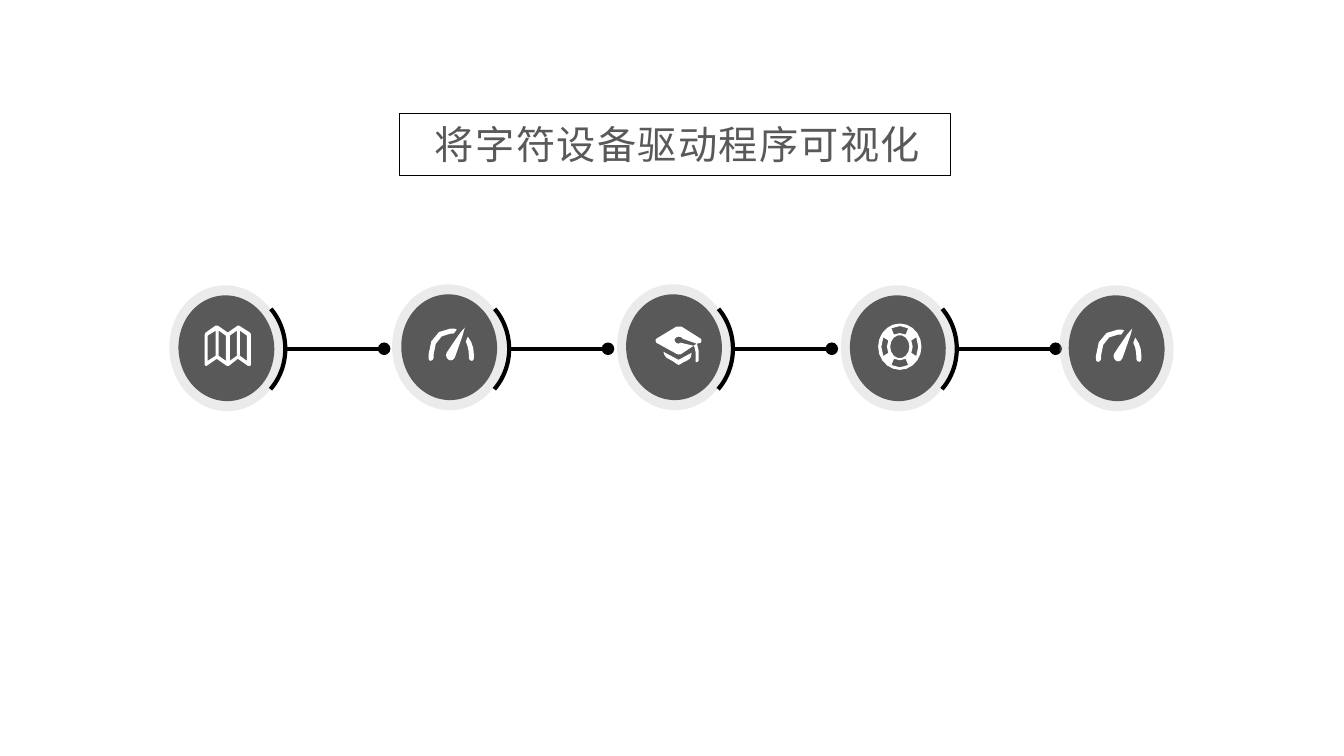
from math import cos, radians, sin

from lxml.etree import SubElement
from pptx import Presentation
from pptx.dml.color import RGBColor
from pptx.enum.shapes import MSO_CONNECTOR, MSO_SHAPE
from pptx.enum.text import MSO_ANCHOR, MSO_AUTO_SIZE, PP_ALIGN
from pptx.oxml.ns import qn
from pptx.util import Inches, Pt

# Content
TITLE = "将字符设备驱动程序可视化"
NODES = [  # icon, halo left and top, icon offset from the halo
    ("map", (1.68, 2.83), (0.35, 0.40)),
    ("gauge", (3.89, 2.82), (0.36, 0.42)),
    ("cap", (6.12, 2.82), (0.38, 0.42)),
    ("ring", (8.34, 2.83), (0.37, 0.38)),
    ("gauge", (10.51, 2.83), (0.36, 0.42)),
]

THEME = {
    "font": "Noto Sans CJK SC",
    "title_size": Pt(28),
    "dark": RGBColor(0x59, 0x59, 0x59),
    "halo": RGBColor(0xBF, 0xBF, 0xBF),
    "line": RGBColor(0, 0, 0),
    "icon": RGBColor(0xFF, 0xFF, 0xFF),
    "frame_width": Pt(0.25),
    "link_width": Pt(3),
}

# Layout in inches
TITLE_BOX = (3.96, 1.2, 5.52, 0.52)
FRAME_BOX = (3.96, 1.12, 5.46, 0.62)
HALO_SIZE = (1.13, 1.25)
DISC_SIZE = (0.95, 1.05)
TILT = -4.7
ARC_BOX = (1.72, 2.93, 1.16, 1.06)
ARC_ANGLES = (26.57, 81.76)
LINK_START, LINK_LENGTH, LINK_Y = 2.85, 0.96, 3.46
PITCH = 2.22

# Icon outlines in hundredths of an inch; six numbers make a cubic curve
MAP_OUTLINE = [
    (45, 7), (34, 0), (33, 0), (23, 7), (13, 0), (11, 0), (1, 7), (0, 9), (0, 39), (1, 40),
    (2, 40), (12, 33), (22, 40), (24, 40), (33, 33), (43, 40), (45, 40), (46, 39), (46, 9),
]
MAP_PANELS = [(3, 11, True), (14, 21, False), (25, 32, True), (35, 42, False)]
GAUGE = [
    [(18, 26), (17, 28, 17, 31, 20, 33), (22, 34, 24, 34, 26, 31),
     (27, 28, 37, 1, 36, 1), (35, 0, 20, 23, 18, 26)],
    [(22, 7), (25, 7), (28, 3), (27, 2, 25, 2, 22, 2),
     (9, 2, 0, 13, 0, 28), (0, 31), (0, 33, 1, 34, 2, 34), (4, 34, 5, 32, 5, 31),
     (5, 28), (5, 16, 12, 7, 22, 7)],
    [(39, 10), (37, 15), (39, 19, 40, 24, 40, 28), (40, 31),
     (40, 32, 41, 34, 43, 34), (44, 34, 45, 33, 45, 31), (45, 28), (45, 21, 43, 15, 39, 10)],
]
CAP = [
    [(8, 25), (9, 29, 10, 31, 15, 33), (19, 35, 22, 38, 23, 38), (25, 38, 27, 35, 31, 34),
     (36, 31, 35, 31, 36, 26), (23, 33)],
    [(45, 12), (26, 0), (21, 0), (1, 12), (0, 13, 0, 14, 1, 16), (21, 27),
     (22, 28, 25, 28, 26, 27), (38, 19), (25, 16), (23, 17),
     (21, 17, 19, 15, 19, 13), (19, 12, 21, 10, 23, 10), (25, 10, 27, 11, 27, 12),
     (41, 17), (45, 16), (46, 14, 46, 13, 45, 12)],
    [(40, 35), (39, 35, 42, 36, 43, 34), (44, 21, 41, 17, 41, 17), (38, 19), (38, 19, 41, 22, 40, 35)],
]


def ellipse_points(radius_x, radius_y, start, end, steps):
    angles = [radians(start + (end - start) * step / steps) for step in range(steps + 1)]
    return [(21.5 + radius_x * cos(angle), 23 + radius_y * sin(angle)) for angle in angles]


def map_icon():
    panels = []
    for left, right, rising in MAP_PANELS:
        left_drop, right_drop = (5, 0) if rising else (0, 5)
        panels.append([(left, 5 + left_drop), (right, 5 + right_drop),
                       (right, 30 + right_drop), (left, 30 + left_drop)])
    return [MAP_OUTLINE] + panels


def ring_icon():
    gaps = [
        ellipse_points(18.3, 20.5, middle - 27, middle + 27, 2)
        + ellipse_points(12.8, 13.5, middle + 27, middle - 27, 2)
        for middle in range(0, 360, 90)
    ]
    return [ellipse_points(21.5, 23, 0, 360, 20), ellipse_points(9.5, 11.5, 0, 360, 14)] + gaps


ICONS = {"map": map_icon(), "gauge": GAUGE, "cap": CAP, "ring": ring_icon()}


def flatten(contour, steps=3):
    """Turn the curves of a contour into short straight steps."""
    points = [contour[0]]
    for segment in contour[1:]:
        if len(segment) == 2:
            points.append(segment)
            continue
        controls = [points[-1], segment[0:2], segment[2:4], segment[4:6]]
        for step in range(1, steps + 1):
            t = step / steps
            weights = ((1 - t) ** 3, 3 * t * (1 - t) ** 2, 3 * t * t * (1 - t), t ** 3)
            points.append(tuple(sum(weight * point[axis] for weight, point in zip(weights, controls))
                                for axis in (0, 1)))
    return points


def style_shape(shape, fill=None, line=None, width=None):
    shape.shadow.inherit = False
    if fill is None:
        shape.fill.background()
    else:
        shape.fill.solid()
        shape.fill.fore_color.rgb = fill
    if line is None:
        shape.line.fill.background()
    else:
        shape.line.color.rgb = line
        shape.line.width = width


def add_preset(slide, kind, box, **style):
    shape = slide.shapes.add_shape(kind, *map(Inches, box))
    style_shape(shape, **style)
    return shape


def add_title(slide):
    title = slide.shapes.title
    title.left, title.top, title.width, title.height = map(Inches, TITLE_BOX)
    text_frame = title.text_frame
    text_frame.text = TITLE
    text_frame.word_wrap = True
    text_frame.auto_size = MSO_AUTO_SIZE.NONE
    text_frame.vertical_anchor = MSO_ANCHOR.TOP
    text_frame.margin_top = text_frame.margin_bottom = Inches(0.05)
    paragraph = text_frame.paragraphs[0]
    paragraph.alignment = PP_ALIGN.CENTER
    paragraph.line_spacing = 0.9
    run = paragraph.runs[0]
    run.font.name = THEME["font"]
    run.font.size = THEME["title_size"]
    run.font.color.rgb = THEME["dark"]
    properties = run.font._element
    properties.set("spc", "100")
    SubElement(properties, qn("a:ea")).set("typeface", THEME["font"])
    frame = add_preset(slide, MSO_SHAPE.ROUNDED_RECTANGLE, FRAME_BOX,
                       line=THEME["line"], width=THEME["frame_width"])
    frame.adjustments[0] = 0


def add_icon(slide, contours, left, top):
    outlines = [[(Inches(left + x / 100), Inches(top + y / 100)) for x, y in flatten(contour)]
                for contour in contours]
    builder = slide.shapes.build_freeform(*outlines[0][0])
    builder.add_line_segments(outlines[0][1:])
    for outline in outlines[1:]:
        builder.move_to(*outline[0])
        builder.add_line_segments(outline[1:])
    style_shape(builder.convert_to_shape(), fill=THEME["icon"])


def add_node(slide, icon, position, offset):
    left, top = position
    halo = add_preset(slide, MSO_SHAPE.OVAL, (left, top, *HALO_SIZE), fill=THEME["halo"])
    color = halo._element.spPr.find(qn("a:solidFill"))[0]
    SubElement(color, qn("a:alpha")).set("val", "30000")
    disc_box = (left + 0.09, top + 0.1, *DISC_SIZE)
    disc = add_preset(slide, MSO_SHAPE.OVAL, disc_box, fill=THEME["dark"])
    halo.rotation = disc.rotation = TILT
    add_icon(slide, ICONS[icon], left + offset[0], top + offset[1])


def add_link(slide, index):
    shift = index * PITCH
    left, *rest = ARC_BOX
    arc = add_preset(slide, MSO_SHAPE.ARC, (left + shift, *rest),
                     line=THEME["line"], width=THEME["link_width"])
    arc.adjustments[0], arc.adjustments[1] = ARC_ANGLES
    arc.rotation = 270
    start = LINK_START + shift
    link = slide.shapes.add_connector(MSO_CONNECTOR.STRAIGHT, Inches(start), Inches(LINK_Y),
                                      Inches(start + LINK_LENGTH), Inches(LINK_Y))
    link.line.color.rgb = THEME["line"]
    link.line.width = THEME["link_width"]
    SubElement(link.line._get_or_add_ln(), qn("a:tailEnd")).set("type", "oval")
    SubElement(link._element.spPr, qn("a:effectLst"))


def main():
    presentation = Presentation()
    presentation.slide_width, presentation.slide_height = Inches(13.33), Inches(7.5)
    slide = presentation.slides.add_slide(presentation.slide_layouts[5])
    add_title(slide)
    # Chain of nodes, each but the last followed by its link
    for index, node in enumerate(NODES):
        add_node(slide, *node)
        if index < len(NODES) - 1:
            add_link(slide, index)
    presentation.save("out.pptx")


if __name__ == "__main__":
    main()
